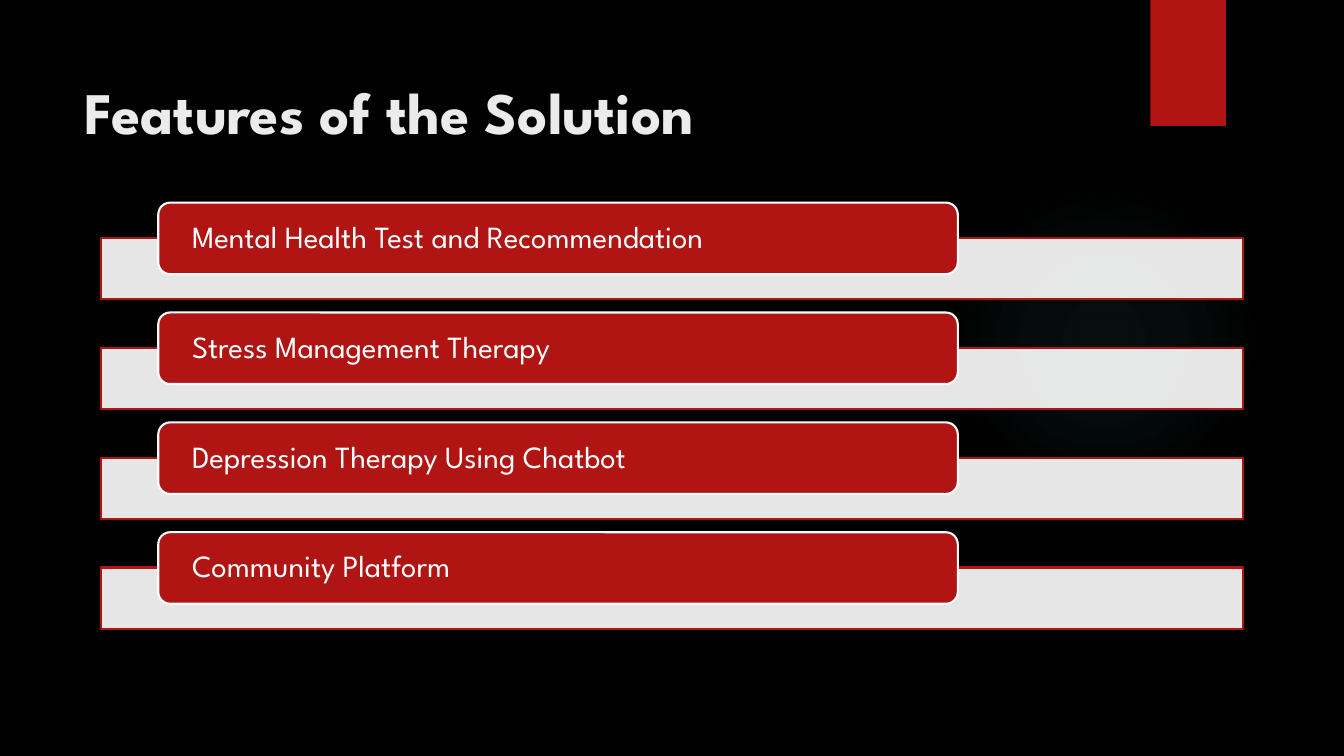
from lxml.etree import SubElement
from pptx import Presentation
from pptx.dml.color import RGBColor
from pptx.enum.shapes import MSO_SHAPE
from pptx.enum.text import MSO_ANCHOR, PP_ALIGN
from pptx.oxml import parse_xml
from pptx.oxml.ns import nsdecls, qn
from pptx.util import Inches, Pt

BLACK = RGBColor(0x00, 0x00, 0x00)
WHITE = RGBColor(0xFF, 0xFF, 0xFF)
OFF_WHITE = RGBColor(0xEB, 0xEB, 0xEB)
RED = RGBColor(0xB0, 0x15, 0x13)
TEAL = RGBColor(0x50, 0xB9, 0xC1)

FEATURES = [
    "Mental Health Test and Recommendation",
    "Stress Management Therapy",
    "Depression Therapy Using Chatbot",
    "Community Platform",
]
FIRST_CARD_TOP = 2.01
ROW_STEP = 1.09
BAR_OFFSET = 0.35


def write_text(shape, text, *, font, size, color, bold=False, inset=0.1, line_spacing=1.0):
    frame = shape.text_frame
    frame.word_wrap = True
    frame.vertical_anchor = MSO_ANCHOR.MIDDLE
    frame.margin_left = frame.margin_right = Inches(inset)
    frame.margin_top = frame.margin_bottom = 0
    paragraph = frame.paragraphs[0]
    paragraph.alignment = PP_ALIGN.LEFT
    paragraph.line_spacing = line_spacing
    run = paragraph.add_run()
    run.text = text
    run.font.name = font
    run.font.size = Pt(size)
    run.font.bold = bold
    run.font.color.rgb = color


class SlideBuilder:
    font = "League Spartan"
    line_width = Pt(1.5)

    def __init__(self, slide):
        self.slide = slide

    def background(self, color):
        fill = self.slide.background.fill
        fill.solid()
        fill.fore_color.rgb = color

    def title(self, text, left, top, width, height):
        title = self.slide.shapes.title
        title.left, title.top = Inches(left), Inches(top)
        title.width, title.height = Inches(width), Inches(height)
        write_text(title, text, font=self.font, size=42, color=OFF_WHITE, bold=True)

    def box(self, preset, left, top, width, height, fill, line=None, opacity=100):
        shape = self.slide.shapes.add_shape(
            preset, Inches(left), Inches(top), Inches(width), Inches(height))
        shape.shadow.inherit = False
        shape.fill.solid()
        shape.fill.fore_color.rgb = fill
        if opacity < 100:
            color = shape.fill._xPr.find(qn("a:solidFill"))[0]
            SubElement(color, qn("a:alpha")).set("val", str(opacity * 1000))
        if line is None:
            shape.line.fill.background()
        else:
            shape.line.color.rgb = line
            shape.line.width = self.line_width
        return shape

    def glow(self, left, top, size, color, stops):
        shape = self.box(MSO_SHAPE.OVAL, left, top, size, size, color)
        stop_xml = "".join(
            f'<a:gs pos="{position * 1000}"><a:srgbClr val="{color}">'
            f'<a:alpha val="{opacity * 1000}"/></a:srgbClr></a:gs>'
            for position, opacity in stops)
        gradient = parse_xml(
            f'<a:gradFill {nsdecls("a")}><a:gsLst>{stop_xml}</a:gsLst><a:path path="circle">'
            '<a:fillToRect l="50000" t="50000" r="50000" b="50000"/></a:path></a:gradFill>')
        properties = shape.fill._xPr
        properties.replace(properties.find(qn("a:solidFill")), gradient)

    def feature(self, text, top):
        self.box(MSO_SHAPE.RECTANGLE, 1, top + BAR_OFFSET, 11.33, 0.61,
                 WHITE, line=RED, opacity=90)
        card = self.box(MSO_SHAPE.ROUNDED_RECTANGLE, 1.57, top, 7.93, 0.71, RED, line=WHITE)
        write_text(card, text, font=self.font, size=22, color=WHITE,
                   inset=0.3, line_spacing=0.9)


presentation = Presentation()
presentation.slide_width = Inches(13.33)
presentation.slide_height = Inches(7.5)
builder = SlideBuilder(presentation.slides.add_slide(presentation.slide_layouts[5]))

# Backdrop: soft glow and corner ribbon
builder.background(BLACK)
builder.glow(9.41, 1.83, 3.08, TEAL, [(0, 7), (36, 6), (69, 0)])
builder.box(MSO_SHAPE.RECTANGLE, 11.41, 0, 0.75, 1.25, RED)

# Title
builder.title("Features of the Solution", 0.74, 0.67, 9.4, 0.87)

# Feature rows
for row, feature in enumerate(FEATURES):
    builder.feature(feature, FIRST_CARD_TOP + row * ROW_STEP)

presentation.save("out.pptx")
